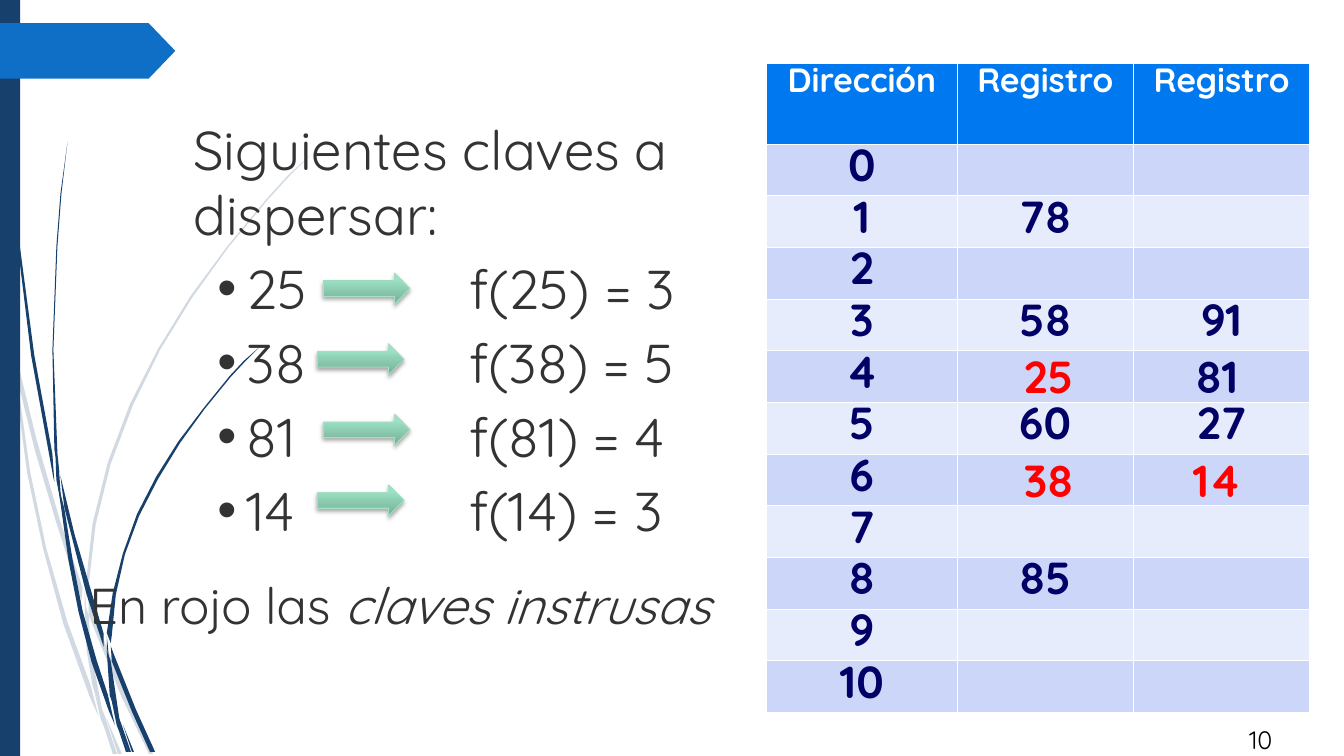
import dataclasses

import lxml.etree
import pptx
import pptx.dml.color
import pptx.enum.shapes
import pptx.enum.text
import pptx.oxml
import pptx.oxml.ns
import pptx.util

Inches = pptx.util.Inches
Pt = pptx.util.Pt
Shapes = pptx.enum.shapes.MSO_SHAPE
CENTER = pptx.enum.text.PP_ALIGN.CENTER


@dataclasses.dataclass(frozen=True)
class Theme:
    font: str = "Quicksand"
    bullet_font: str = "Arial"
    navy: str = "17406D"
    pale: str = "D1D9E2"
    blue: str = "0F6FC6"
    header: str = "0078F0"
    bands: tuple = ("E7ECFC", "CBD6F9")
    white: str = "FFFFFF"
    black: str = "000000"
    ink: str = "333333"
    key: str = "000066"
    intruder: str = "FF0000"
    arrow_low: str = "76AC94"
    arrow_high: str = "9BE2C4"
    arrow_edge: str = "A5DEC5"
    body_size: int = 39
    note_size: int = 36
    key_size: int = 32
    header_size: int = 24
    number_size: int = 18
    tight: float = 0.72


THEME = Theme()
PALE_BLADES = [
    [(0.08, 3.47), (0.06, 3.2), (0, 2.82), (0, 2.98), (0.07, 3.41)],
    [(0.56, 5.19), (0.81, 5.96), (0.82, 5.83), (0.6, 5.18), (0.36, 4.35), (0.14, 3.45), (0.17, 3.76), (0.35, 4.48)],
    [(0.92, 6.07), (0.88, 5.96), (0.88, 6.1), (1.21, 6.92), (1.48, 7.48), (1.52, 7.48), (1.25, 6.9)],
    [(1.17, 7.48), (1.21, 7.48), (1.05, 7.11)],
    [(0.9, 6.8), (0.67, 6.17), (0.46, 5.44), (0.3, 4.68), (0.17, 3.76), (0.11, 3.5), (0.27, 4.69),
     (0.43, 5.45), (0.63, 6.19), (0.89, 6.91), (0.98, 7.11)],
    [(0.84, 5.99), (0.86, 6.45), (0.92, 6.81), (1.02, 7.08), (0.9, 6.44), (0.88, 6.1)],
    [(0.88, 5.81), (0.95, 5.2), (1.1, 4.6), (1.32, 4.02), (1.59, 3.47), (1.91, 2.95), (2.27, 2.45), (2.66, 1.98),
     (2.87, 1.75), (3.09, 1.53), (2.86, 1.74), (2.65, 1.97), (2.26, 2.44), (1.89, 2.94), (1.57, 3.46),
     (1.29, 4.01), (1.07, 4.59), (0.92, 5.19), (0.85, 5.81), (0.88, 5.93)],
    [(1.01, 7.14), (1.12, 7.48), (1.16, 7.48)],
    [(0.85, 6.05), (0.85, 5.94), (0.84, 5.86), (0.84, 5.98)],
    [(0.96, 6.92), (0.93, 6.83), (1, 7.13), (1.15, 7.48), (1.16, 7.48), (1.04, 7.1)],
]
NAVY_BLADES = [
    [(0.06, 1.09), (0.16, 2.31), (0.31, 3.53), (0.53, 4.74), (0.54, 4.78), (0.52, 4.5), (0.34, 3.52),
     (0.18, 2.31), (0.07, 1.09), (0.04, 0.48), (0.03, 0)],
    [(0.86, 5.9), (1.03, 6.42), (1.03, 6.29), (0.91, 5.88), (0.74, 5.3), (0.6, 4.72), (0.64, 5.04)],
    [(1.13, 6.49), (1.1, 6.41), (1.11, 6.56), (1.31, 7.06), (1.49, 7.46), (1.54, 7.46), (1.35, 7.04)],
    [(1.07, 6.89), (0.96, 6.55), (0.82, 6.06), (0.72, 5.55), (0.64, 5.05), (0.57, 4.77), (0.68, 5.56),
     (0.78, 6.07), (0.91, 6.57), (1.08, 7.05), (1.14, 7.19)],
    [(0.59, 4.69), (0.57, 4.5), (0.53, 3.47), (0.57, 2.44), (0.61, 1.92), (0.67, 1.41), (0.6, 1.92),
     (0.56, 2.44), (0.52, 3.47), (0.54, 4.46), (0.58, 4.69)],
    [(1.31, 7.46), (1.33, 7.46), (1.22, 7.19)],
    [(0.56, 4.76), (0.61, 5.02), (0.59, 4.71), (0.55, 4.49)],
    [(1.11, 6.3), (1.15, 5.9), (1.24, 5.5), (1.38, 5.12), (1.57, 4.75), (1.79, 4.39), (2.03, 4.06), (2.29, 3.74),
     (2.43, 3.59), (2.58, 3.44), (2.42, 3.58), (2.28, 3.73), (2.02, 4.05), (1.77, 4.38), (1.55, 4.73),
     (1.36, 5.1), (1.22, 5.49), (1.12, 5.88), (1.06, 6.28), (1.1, 6.38)],
    [(1.17, 7.22), (1.25, 7.46), (1.28, 7.46)],
    [(1.06, 6.45), (1.09, 6.9), (1.19, 7.16), (1.1, 6.56)],
    [(1.06, 6.43), (1.08, 6.53), (1.07, 6.4), (1.06, 6.31)],
    [(1.15, 7.05), (1.1, 6.91), (1.16, 7.2), (1.28, 7.46), (1.3, 7.46), (1.2, 7.17)],
]
STORED = {1: ("78", ""), 3: ("58", "91"), 5: ("60", "27"), 8: ("85", "")}
HASHES = [(25, 3), (38, 5), (81, 4), (14, 3)]


def rgb(code):
    return pptx.dml.color.RGBColor.from_string(code)


def style(font, size, color, bold=None):
    font.name, font.size, font.bold = THEME.font, Pt(size), bold
    font.color.rgb = rgb(color)


def child(parent, tag, **attributes):
    return lxml.etree.SubElement(parent, pptx.oxml.ns.qn(tag), attributes)


def flat(shape, color):
    shape.shadow.inherit = False
    shape.fill.solid()
    shape.fill.fore_color.rgb = rgb(color)
    shape.line.fill.background()


def text_frame(slide, box):
    frame = slide.shapes.add_textbox(*map(Inches, box)).text_frame
    frame.word_wrap = True
    return frame


def write_key(paragraph, text, size, color):
    paragraph.text = text
    paragraph.alignment = CENTER
    paragraph.line_spacing = THEME.tight
    style(paragraph.font, size, color, True)


def draw_decoration(slide, box):
    left, top, width, height = box
    for color, blades in ((THEME.pale, PALE_BLADES), (THEME.navy, NAVY_BLADES)):
        for blade in blades:
            start, *rest = [(round(100 * (left + x)), round(100 * (top + y))) for x, y in blade]
            outline = slide.shapes.build_freeform(*start, scale=Inches(0.01))
            outline.add_line_segments(rest)
            flat(outline.convert_to_shape(), color)
    band = slide.shapes.add_shape(Shapes.RECTANGLE, *map(Inches, (left, top, 0.2, height)))
    flat(band, THEME.navy)
    tag = slide.shapes.add_shape(Shapes.PENTAGON, *map(Inches, (left, top + 0.23, 1.74, 0.55)))
    tag.adjustments[0] = 0.48
    flat(tag, THEME.blue)


def draw_arrow(slide, box):
    arrow = slide.shapes.add_shape(Shapes.RIGHT_ARROW, *map(Inches, box))
    arrow.fill.gradient()
    arrow.fill.gradient_angle = 90
    stops = zip(arrow.fill.gradient_stops, (THEME.arrow_low, THEME.arrow_high), (0, 0.8))
    for stop, color, position in stops:
        stop.color.rgb, stop.position = rgb(color), position
    arrow.line.color.rgb = rgb(THEME.arrow_edge)
    arrow.line.width = Pt(0.75)
    effects = child(arrow.element.spPr, "a:effectLst")
    shadow = child(effects, "a:outerShdw", blurRad=str(Pt(3.1)), dist=str(Pt(1.8)), dir="5400000", rotWithShape="0")
    child(child(shadow, "a:srgbClr", val=THEME.black), "a:alpha", val="35000")


def draw_hashes(slide, box):
    left, top, _, _ = box
    frame = text_frame(slide, box)
    heading = frame.paragraphs[0]
    heading.text = "Siguientes claves a dispersar:"
    style(heading.font, THEME.body_size, THEME.ink)
    for row, (key, address) in enumerate(HASHES):
        line = frame.add_paragraph()
        line.text = f"{key}\tf({key}) = {address}"
        line.space_before = Pt(6)
        style(line.font, THEME.body_size, THEME.ink)
        properties = line._p.get_or_add_pPr()
        properties.set("marL", str(Inches(0.53)))
        properties.set("indent", str(Inches(-0.29)))
        defaults = properties.find(pptx.oxml.ns.qn("a:defRPr"))
        child(properties, "a:buFont", typeface=THEME.bullet_font)
        child(properties, "a:buChar", char="•")
        child(child(properties, "a:tabLst"), "a:tab", pos=str(Inches(2.74)), algn="l")
        properties.append(defaults)
        draw_arrow(slide, (left + (1.33 if row % 2 else 1.39), top + 1.61 + 0.7 * row, 0.86, 0.31))


def draw_note(slide, box):
    note = text_frame(slide, box).paragraphs[0]
    note.line_spacing = 0.93
    style(note.font, THEME.note_size, THEME.ink)
    note.add_run().text = "En rojo las "
    emphasis = note.add_run()
    emphasis.text = "claves instrusas"
    emphasis.font.italic = True


def set_borders(cell):
    properties = cell._tc.get_or_add_tcPr()
    for place, side in enumerate(("a:lnL", "a:lnR", "a:lnT", "a:lnB")):
        border = child(properties, side, w=str(Pt(0.75)))
        child(child(border, "a:solidFill"), "a:srgbClr", val=THEME.white)
        properties.insert(place, border)


def draw_addresses(slide, box):
    left, top, width, height = box
    header_height = 0.8
    row_height = (height - header_height) / 11
    rows = [("Dirección", "Registro", "Registro")]
    rows += [(str(address), *STORED.get(address, ("", ""))) for address in range(11)]
    table = slide.shapes.add_table(len(rows), 3, *map(Inches, box)).table
    for column, column_width in zip(table.columns, (1.89, 1.75, 1.75)):
        column.width = Inches(column_width)
    for index, values in enumerate(rows):
        table.rows[index].height = Inches(row_height if index else header_height)
        size, color = (THEME.key_size, THEME.key) if index else (THEME.header_size, THEME.white)
        for cell, value in zip(table.rows[index].cells, values):
            cell.fill.solid()
            cell.fill.fore_color.rgb = rgb(THEME.bands[index % 2] if index else THEME.header)
            set_borders(cell)
            if value:
                write_key(cell.text_frame.paragraphs[0], value, size, color)
    added = [("14", 4.07, 3.95, THEME.intruder), ("81", 4.07, 2.92, THEME.key),
             ("38", 2.4, 3.95, THEME.intruder), ("25", 2.4, 2.92, THEME.intruder)]
    for key, x, y, color in added:
        frame = text_frame(slide, (left + x, top + y, 0.8, 0.86))
        write_key(frame.paragraphs[0], key, THEME.key_size, color)


def draw_number(slide, box):
    number = text_frame(slide, box).paragraphs[0]
    number.text = "10"
    style(number.font, THEME.number_size, THEME.black)


def main():
    deck = pptx.Presentation()
    deck.slide_width, deck.slide_height = Inches(13.34), Inches(7.5)
    slide = deck.slides.add_slide(deck.slide_layouts[6])
    draw_decoration(slide, (0, 0, 3.09, 7.5))
    draw_number(slide, (12.3, 7.14, 0.85, 0.4))
    draw_hashes(slide, (1.82, 1.1, 5.16, 5.39))
    draw_addresses(slide, (7.61, 0.63, 5.39, 6.44))
    draw_note(slide, (0.79, 5.7, 6.96, 0.66))
    deck.save("out.pptx")


if __name__ == "__main__":
    main()
